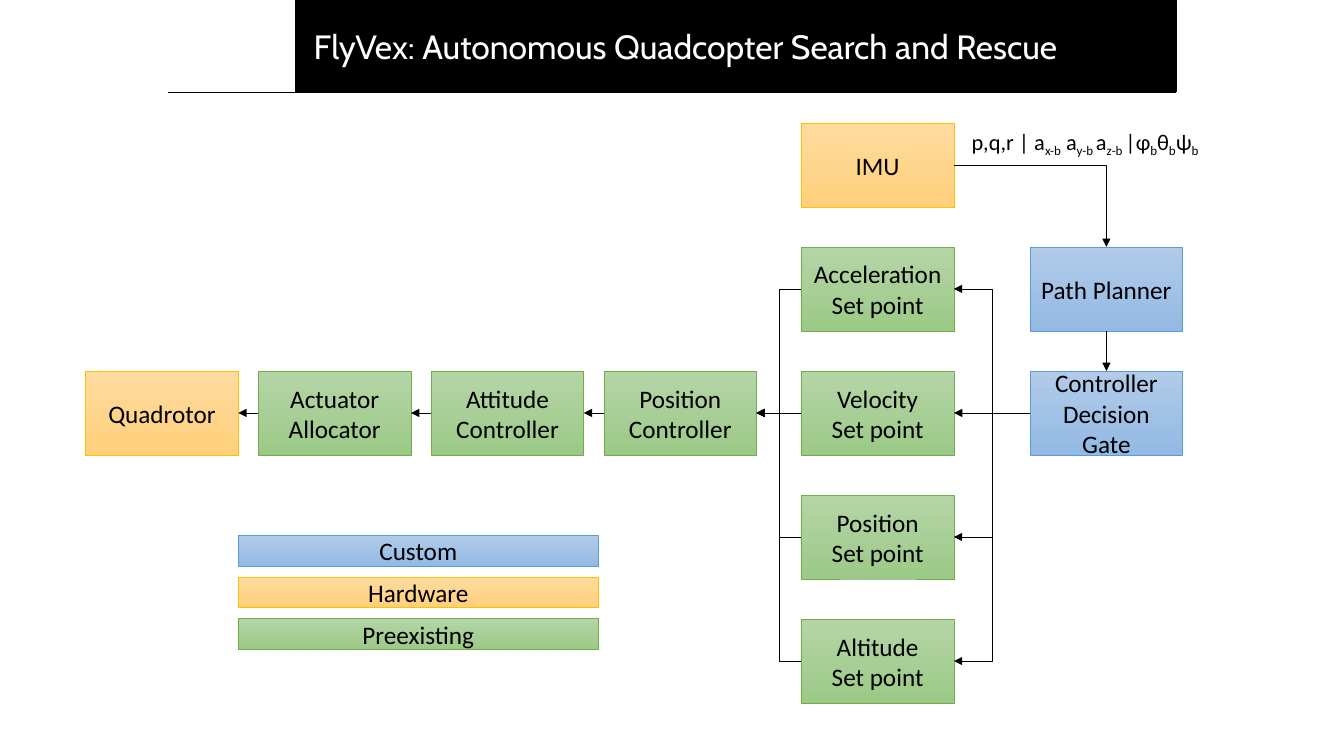
from pptx import Presentation
from pptx.dml.color import RGBColor
from pptx.enum.shapes import MSO_CONNECTOR, MSO_SHAPE
from pptx.enum.text import MSO_ANCHOR, MSO_AUTO_SIZE, PP_ALIGN
from pptx.oxml.ns import qn
from pptx.util import Pt
from lxml.etree import SubElement

# Content
TITLE = "FlyVex: Autonomous Quadcopter Search and Rescue"

# Pieces alternate between normal text and subscript
IMU_SIGNALS = ["p,q,r | a", "x-b", " a", "y-b ", "a", "z-b ", "|φ", "b", "θ", "b", "ψ", "b"]

# key: (lines, kind, column, row)
BLOCKS = {
    "imu": (["IMU"], "hardware", 4, 0),
    "planner": (["Path Planner"], "custom", 5, 1),
    "gate": (["Controller Decision Gate"], "custom", 5, 2),
    "acceleration": (["Acceleration", "Set point"], "preexisting", 4, 1),
    "velocity": (["Velocity", "Set point"], "preexisting", 4, 2),
    "position": (["Position", "Set point"], "preexisting", 4, 3),
    "altitude": (["Altitude", "Set point"], "preexisting", 4, 4),
    "position control": (["Position Controller"], "preexisting", 3, 2),
    "attitude control": (["Attitude Controller"], "preexisting", 2, 2),
    "allocator": (["Actuator Allocator"], "preexisting", 1, 2),
    "quadrotor": (["Quadrotor"], "hardware", 0, 2),
}
SET_POINTS = ["acceleration", "velocity", "position", "altitude"]
CONTROL_CHAIN = ["position control", "attitude control", "allocator", "quadrotor"]
LEGEND = [("Custom", "custom"), ("Hardware", "hardware"), ("Preexisting", "preexisting")]

COLOURS = {"black": "000000", "white": "FFFFFF"}
# kind: gradient top, gradient bottom, outline
KIND_COLOURS = {
    "custom": ("B1CBE9", "93B9E4", "5B9BD5"),
    "hardware": ("FFDB9E", "FFD07C", "FFC000"),
    "preexisting": ("B5D5A7", "9CC987", "70AD47"),
}

# Layout in points
BLOCK_W, BLOCK_H = 109, 60
COLUMNS = [61.2 + 123.4 * i for i in range(4)] + [572.4, 735.8]
ROW_TOP, ROW_STEP = 87.8, 88.6
LEGEND_LEFT, LEGEND_TOP, LEGEND_STEP = 170.3, 382.4, 29.8
LEGEND_W, LEGEND_H = 257, 22
TOP, LEFT, BOTTOM, RIGHT = range(4)  # connection sites of a rectangle

deck = Presentation()
deck.slide_width, deck.slide_height = Pt(960), Pt(540)
slide = deck.slides.add_slide(deck.slide_layouts[6])
shapes = slide.shapes


def rgb(hex_colour):
    return RGBColor.from_string(hex_colour)


def write(frame, paragraphs, size=18, font="Calibri", colour="black",
          align=PP_ALIGN.CENTER, anchor=MSO_ANCHOR.MIDDLE, wrap=True):
    """Each paragraph is a list of pieces; every second piece is a subscript."""
    frame.word_wrap = wrap
    frame.vertical_anchor = anchor
    for i, pieces in enumerate(paragraphs):
        paragraph = frame.paragraphs[0] if i == 0 else frame.add_paragraph()
        paragraph.alignment = align
        for j, piece in enumerate(pieces):
            run = paragraph.add_run()
            run.text = piece
            run.font.size, run.font.name = Pt(size), font
            run.font.color.rgb = rgb(COLOURS[colour])
            if j % 2:
                run.font._element.set("baseline", "-25000")


def add_box(left, top, width, height, lines, kind):
    box = shapes.add_shape(MSO_SHAPE.RECTANGLE, Pt(left), Pt(top), Pt(width), Pt(height))
    box.shadow.inherit = False
    start, end, outline = KIND_COLOURS[kind]
    box.fill.gradient()
    box.fill.gradient_angle = 270
    for stop, colour in zip(box.fill.gradient_stops, (start, end)):
        stop.color.rgb = rgb(colour)
    box.line.color.rgb, box.line.width = rgb(outline), Pt(0.5)
    write(box.text_frame, [[line] for line in lines])
    return box


def add_line(bent=False, width=0.5, ends=(0, 0, 0, 0)):
    style = MSO_CONNECTOR.ELBOW if bent else MSO_CONNECTOR.STRAIGHT
    line = shapes.add_connector(style, *[Pt(value) for value in ends])
    line.line.color.rgb, line.line.width = rgb(COLOURS["black"]), Pt(width)
    SubElement(line._element.spPr, qn("a:effectLst"))
    return line


def add_arrow(source, target, source_site=LEFT, target_site=RIGHT, bent=False):
    arrow = add_line(bent)
    arrow.begin_connect(blocks[source], source_site)
    arrow.end_connect(blocks[target], target_site)
    SubElement(arrow.line._get_or_add_ln(), qn("a:tailEnd"), type="triangle")
    return arrow


# Title banner with its rule
add_line(width=1, ends=(120.2, 66.2, 840.2, 66.2))
banner = shapes.add_shape(MSO_SHAPE.RECTANGLE, Pt(211), Pt(0), Pt(629.2), Pt(65.5))
banner.shadow.inherit = False
banner.fill.solid()
banner.fill.fore_color.rgb = rgb(COLOURS["black"])
banner.line.color.rgb, banner.line.width = rgb(COLOURS["black"]), Pt(0.5)
title = shapes.add_textbox(Pt(214.6), Pt(15.1), Pt(550), Pt(36))
title.text_frame.auto_size = MSO_AUTO_SIZE.SHAPE_TO_FIT_TEXT
write(title.text_frame, [[TITLE]], size=24, font="Cabin", colour="white", anchor=MSO_ANCHOR.TOP)

# Blocks on the grid
blocks = {
    key: add_box(COLUMNS[column], ROW_TOP + ROW_STEP * row, BLOCK_W, BLOCK_H, lines, kind)
    for key, (lines, kind, column, row) in BLOCKS.items()
}

# Arrows: sensor to planner to gate
sensor_arrow = add_arrow("imu", "planner", RIGHT, TOP, bent=True)
sensor_arrow._element.spPr.find(qn("a:prstGeom")).set("prst", "bentConnector2")
add_arrow("planner", "gate", BOTTOM, TOP)

# Arrows: gate through the set points, then along the control chain
for set_point in SET_POINTS:
    is_bent = set_point != "velocity"
    add_arrow("gate", set_point, bent=is_bent)
    add_arrow(set_point, CONTROL_CHAIN[0], bent=is_bent)
for source, target in zip(CONTROL_CHAIN, CONTROL_CHAIN[1:]):
    add_arrow(source, target)

# Sensor signals
signals = shapes.add_textbox(Pt(686.9), Pt(87.8), Pt(187.2), Pt(48.2))
write(signals.text_frame, [IMU_SIGNALS], size=16, align=PP_ALIGN.LEFT,
      anchor=MSO_ANCHOR.TOP, wrap=False)

# Legend
for i, (label, kind) in enumerate(LEGEND):
    add_box(LEGEND_LEFT, LEGEND_TOP + LEGEND_STEP * i, LEGEND_W, LEGEND_H, [label], kind)

deck.save("out.pptx")
